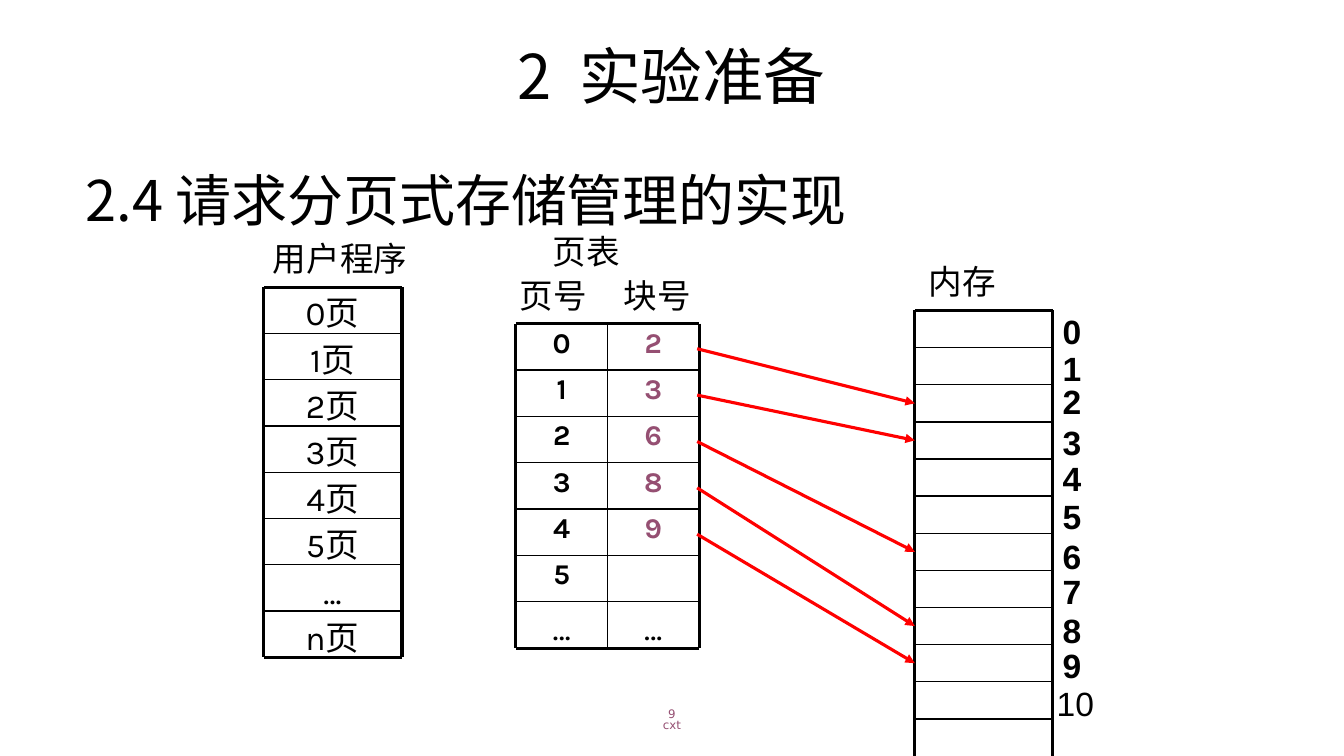
from lxml import etree
from pptx import Presentation
from pptx import util as u
from pptx.dml.color import RGBColor
from pptx.enum import shapes, text
from pptx.oxml import ns

SCALE = 9144
BLACK = RGBColor(0x00, 0x00, 0x00)
PLUM = RGBColor(0x95, 0x4F, 0x72)
RED = RGBColor(0xFF, 0x00, 0x00)
CJK = "Noto Sans CJK SC"
LEFT, CENTER = text.PP_ALIGN.LEFT, text.PP_ALIGN.CENTER
TOP, MIDDLE = text.MSO_ANCHOR.TOP, text.MSO_ANCHOR.MIDDLE


def px(value):
    return u.Emu(round(value * SCALE))


def child(parent, tag, **attributes):
    return etree.SubElement(parent, ns.qn(tag), **attributes)


def write(frame, content, size=24, font="Arial", color=BLACK, bold=False,
          align=LEFT, spacing=1.0):
    for index, line in enumerate(content.split("\n")):
        para = frame.paragraphs[0] if index == 0 else frame.add_paragraph()
        para.alignment = align
        para.line_spacing = spacing
        span = para.add_run()
        span.text = line
        span.font.size = u.Pt(size)
        span.font.name = font
        span.font.bold = bold
        span.font.color.rgb = color
        child(span.font._element, "a:ea", typeface=CJK)


class Diagram:
    def __init__(self, deck):
        self.page = deck.slides.add_slide(deck.slide_layouts[6])
        self.thick = u.Pt(2.25)
        self.thin = u.Pt(1)

    def label(self, left, top, width, height, content, anchor=TOP, **style):
        box = self.page.shapes.add_textbox(px(left), px(top), px(width), px(height))
        box.text_frame.word_wrap = True
        box.text_frame.vertical_anchor = anchor
        write(box.text_frame, content, **style)

    def rule(self, start, end, width, color=BLACK, arrow=False):
        line = self.page.shapes.add_connector(
            shapes.MSO_CONNECTOR.STRAIGHT, *map(px, start + end))
        line.line.color.rgb = color
        line.line.width = width
        if arrow:
            child(line.line._get_or_add_ln(), "a:tailEnd", type="triangle")
        child(line._element.spPr, "a:effectLst")

    def grid(self, left, top, width, height, rows, columns=1, closed=True):
        right, bottom = left + width, top + height
        for row in range(rows + closed):
            y = top + height * row / rows
            self.rule((left, y), (right, y),
                      self.thick if row in (0, rows) else self.thin)
        for column in range(columns + 1):
            x = left + width * column / columns
            self.rule((x, top), (x, bottom),
                      self.thick if column in (0, columns) else self.thin)


def main():
    deck = Presentation()
    deck.slide_width, deck.slide_height = px(1334), px(750)
    diagram = Diagram(deck)

    diagram.label(229, 33, 875, 92, "2  实验准备", MIDDLE, size=44, font=CJK,
                  align=CENTER, spacing=0.9)
    diagram.label(75, 159, 1192, 499, "2.4 请求分页式存储管理的实现", size=40,
                  font=CJK)
    diagram.label(442, 695, 450, 40, "9\ncxt", MIDDLE, size=8.4,
                  font="DejaVu Sans", color=PLUM, align=CENTER, spacing=0.8)

    for left, top, width, caption in [
            (261, 231, 239, "用户程序"), (539, 224, 136, "页表"),
            (506, 268, 136, "页号"), (609, 268, 136, "块号"),
            (912, 254, 125, "内存")]:
        diagram.label(left, top, width, 50, caption)

    row_height = 46
    program = [f"{number}页" for number in range(6)] + ["…", "n页"]
    for row, name in enumerate(program):
        diagram.label(262, 285 + row_height * row, 136, row_height, name,
                      font="Karla", align=CENTER)
    diagram.grid(262, 285, 137, 367, len(program))

    blocks = [2, 3, 6, 8, 9]
    columns = [(512, BLACK, [*range(6), "…"]), (603, PLUM, [*blocks, "", "…"])]
    for left, color, entries in columns:
        for row, entry in enumerate(entries):
            if entry == "":
                continue
            style = (dict() if entry == "…" else
                     dict(size=20.4, bold=True, color=color, spacing=0.9))
            diagram.label(left, 321 + row_height * row, 91, row_height,
                          str(entry), font="Karla", align=CENTER, **style)
    diagram.grid(512, 321, 182, 322, 7, columns=2)

    memory_top, memory_height, frames = 308, 442, 12
    diagram.grid(908, memory_top, 137, memory_height, frames, closed=False)
    number_tops = [304, 340, 373, 414, 449, 487, 527, 561, 600, 635]
    for number, top in enumerate(number_tops):
        diagram.label(1045, top, 68, 50, str(number), bold=True)
    diagram.label(1039, 673, 80, 50, "10")

    frame_height = memory_height / frames
    for number, block in enumerate(blocks):
        diagram.rule((692, 346 + row_height * number),
                     (908, memory_top + frame_height * (block + 0.5)),
                     diagram.thick, RED, arrow=True)

    deck.save("out.pptx")


if __name__ == "__main__":
    main()
